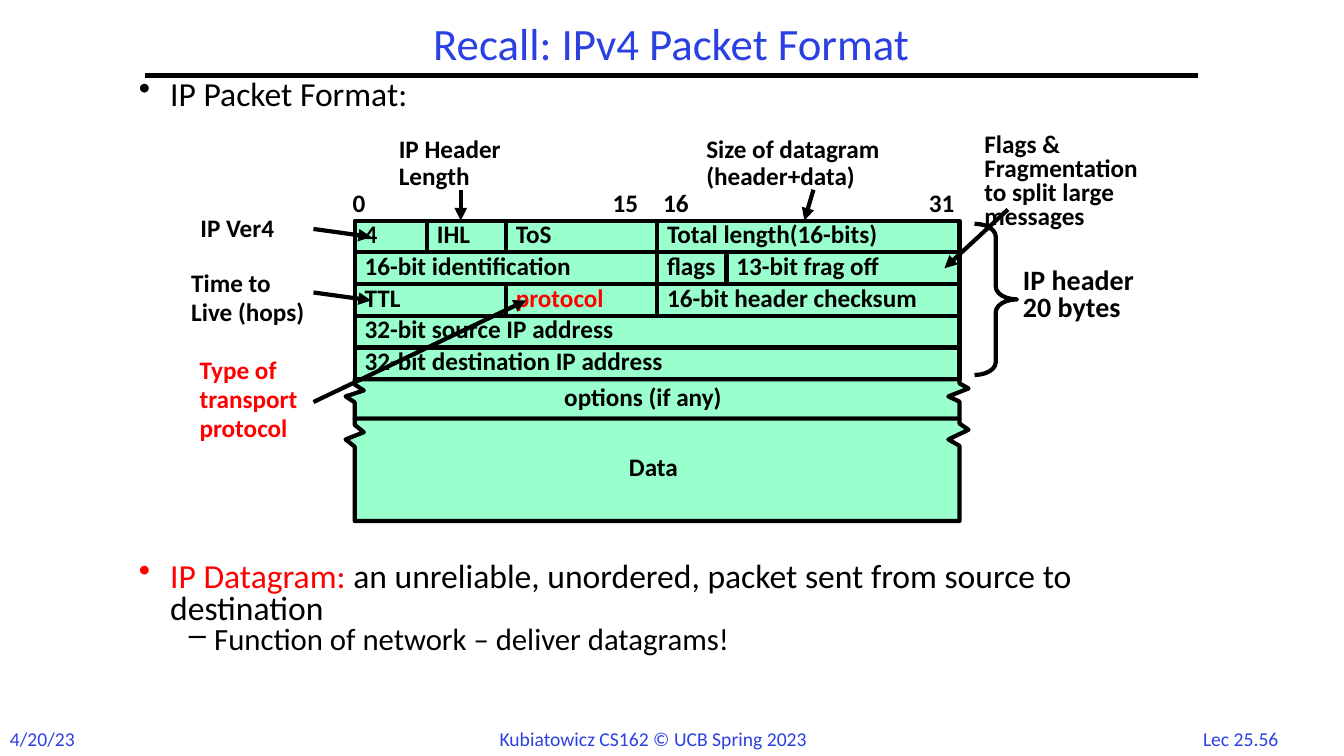
from dataclasses import dataclass

from lxml import etree
from pptx import Presentation
from pptx.dml.color import RGBColor
from pptx.enum.shapes import MSO_CONNECTOR, MSO_SHAPE
from pptx.enum.text import MSO_ANCHOR, PP_ALIGN
from pptx.oxml.ns import qn
from pptx.util import Cm, Pt

LEFT, CENTER = PP_ALIGN.LEFT, PP_ALIGN.CENTER
TOP, MIDDLE = MSO_ANCHOR.TOP, MSO_ANCHOR.MIDDLE
RECTANGLE, BRACE = MSO_SHAPE.RECTANGLE, MSO_SHAPE.RIGHT_BRACE
STRAIGHT = MSO_CONNECTOR.STRAIGHT


@dataclass(frozen=True)
class Theme:
    font: str = "Calibri"
    ink: RGBColor = RGBColor(0x00, 0x00, 0x00)
    blue: RGBColor = RGBColor(0x2A, 0x40, 0xE2)
    red: RGBColor = RGBColor(0xFF, 0x00, 0x00)
    mint: RGBColor = RGBColor(0x99, 0xFF, 0xCC)
    title: int = 32
    body: int = 24
    sub_body: int = 22
    emphasis: int = 20
    label: int = 18
    footer: int = 14
    line: int = 3


class PacketSlide:
    def __init__(self, slide, theme):
        self.shapes = slide.shapes
        self.theme = theme

    def style(self, run, size, color, bold):
        run.font.name = self.theme.font
        run.font.size = Pt(size)
        run.font.bold = bold
        run.font.color.rgb = color

    def set_text(self, frame, text, size, color, bold, align=LEFT,
                 anchor=TOP, spacing=0.8, gap=0):
        frame.word_wrap = True
        frame.vertical_anchor = anchor
        frame.text = text
        for index, paragraph in enumerate(frame.paragraphs):
            paragraph.alignment = align
            paragraph.line_spacing = spacing
            paragraph.space_before = Pt(gap if index else 0)
            for run in paragraph.runs:
                self.style(run, size, color, bold)

    def label(self, text, x, y, w, h=0.86, size=None, color=None,
              bold=True, **layout):
        box = self.shapes.add_textbox(Cm(x), Cm(y), Cm(w), Cm(h))
        self.set_text(box.text_frame, text, size or self.theme.label,
                      color or self.theme.ink, bold, **layout)

    def bullets(self, x, y, w, h, items):
        """Each item holds a mark, margin, hang, size and coloured pieces."""
        frame = self.shapes.add_textbox(Cm(x), Cm(y), Cm(w), Cm(h)).text_frame
        frame.word_wrap = True
        for index, (mark, margin, hang, size, pieces) in enumerate(items):
            paragraph = frame.add_paragraph() if index else frame.paragraphs[0]
            paragraph.line_spacing = 0.8
            properties = paragraph._p.get_or_add_pPr()
            properties.set("marL", str(Cm(margin)))
            properties.set("indent", str(-Cm(hang)))
            etree.SubElement(properties, qn("a:buChar")).set("char", mark)
            for text, color in pieces:
                run = paragraph.add_run()
                run.text = text
                self.style(run, size, color, False)

    def outline(self, shape, filled=True):
        shape.shadow.inherit = False
        if filled:
            shape.fill.solid()
            shape.fill.fore_color.rgb = self.theme.mint
        else:
            shape.fill.background()
        shape.line.color.rgb = self.theme.ink
        shape.line.width = Pt(self.theme.line)

    def field(self, text, x, y, w, h, color):
        cell = self.shapes.add_shape(RECTANGLE, Cm(x), Cm(y), Cm(w), Cm(h))
        self.outline(cell)
        cell.text_frame.margin_right = 0
        self.set_text(cell.text_frame, text, self.theme.label, color, True,
                      anchor=MIDDLE)

    def torn_block(self, x, y, w, h, jag):
        """A block whose sides carry a break mark; jag stretches the mark."""
        right = [(0, 0.56), (-0.28, 0.43), (0.23, 0.23), (0, 0.1)]
        left = [(0, 0.13), (0.23, 0.28), (-0.23, 0.43), (0, 0.58)]
        points = [(x, y + h), (x + w, y + h)]
        points += [(x + w + dx, y + dy * jag) for dx, dy in right]
        points += [(x + w, y), (x, y)]
        points += [(x + dx, y + dy * jag) for dx, dy in left]
        corners = [(Cm(px), Cm(py)) for px, py in points]
        builder = self.shapes.build_freeform(*corners[0], scale=1.0)
        builder.add_line_segments(corners[1:], close=True)
        self.outline(builder.convert_to_shape())

    def brace(self, x, y, w, h):
        shape = self.shapes.add_shape(BRACE, Cm(x), Cm(y), Cm(w), Cm(h))
        self.outline(shape, filled=False)
        shape.adjustments[0], shape.adjustments[1] = 0.3, 0.5

    def line(self, x1, y1, x2, y2, arrow=True):
        connector = self.shapes.add_connector(
            STRAIGHT, Cm(x1), Cm(y1), Cm(x2), Cm(y2))
        connector.line.color.rgb = self.theme.ink
        connector.line.width = Pt(self.theme.line)
        properties = connector._element.spPr
        if arrow:
            stroke = properties.find(qn("a:ln"))
            etree.SubElement(stroke, qn("a:tailEnd")).set("type", "triangle")
        etree.SubElement(properties, qn("a:effectLst"))


def main():
    theme = Theme()
    deck = Presentation()
    deck.slide_width, deck.slide_height = Cm(33.87), Cm(19.05)
    page = PacketSlide(deck.slides.add_slide(deck.slide_layouts[6]), theme)

    # Footer, title and rule
    for text, x, w, align in [
        ("Lec 25.56", 29.77, 3, CENTER),
        ("4/20/23", 0, 2.5, LEFT),
        ("Kubiatowicz CS162 © UCB Spring 2023", 12.34, 9.35, LEFT),
    ]:
        page.label(text, x, 18.19, w, size=theme.footer, color=theme.blue,
                   bold=False, align=align, spacing=1.0)
    page.line(3.66, 1.9, 30.2, 1.9, arrow=False)
    page.label("Recall: IPv4 Packet Format", 3.66, 0.43, 26.52, 1.47,
               size=theme.title, color=theme.blue, bold=False,
               align=CENTER, anchor=MIDDLE, spacing=0.9)

    # Bullets above and below the diagram
    page.bullets(3.25, 1.9, 27.23, 1.2, [
        ("•", 0.79, 0.79, theme.body, [("IP Packet Format:", theme.ink)])])
    page.bullets(3.25, 14.05, 27.23, 3, [
        ("•", 0.79, 0.79, theme.body, [
            ("IP Datagram: ", theme.red),
            ("an unreliable, unordered, packet sent from source to destination",
             theme.ink)]),
        ("–", 1.9, 0.64, theme.sub_body, [
            ("Function of network – deliver datagrams!", theme.ink)])])

    # Header fields: each row lists texts with their offsets from the left edge
    left, top, width, row_height = 8.94, 5.56, 15.24, 0.8
    header_rows = [
        [("4", 0), ("IHL", 1.82), ("ToS", 3.81),
         ("Total length(16-bits)", 7.62)],
        [("16-bit identification", 0), ("flags", 7.62),
         ("13-bit frag off", 9.37)],
        [("TTL", 0), ("protocol", 3.81), ("16-bit header checksum", 7.62)],
        [("32-bit source IP address", 0)],
        [("32-bit destination IP address", 0)],
    ]
    options_top = top + len(header_rows) * row_height
    options_height, data_height = 0.99, 2.58
    page.torn_block(left, options_top, width, options_height, 1)
    for row, fields in enumerate(header_rows):
        ends = [start for _, start in fields[1:]] + [width]
        for (text, start), end in zip(fields, ends):
            color = theme.red if text == "protocol" else theme.ink
            page.field(text, left + start, top + row * row_height,
                       end - start, row_height, color)
    page.torn_block(left, options_top + options_height, width, data_height, 1.22)
    page.label("options (if any)", 13.97, 9.63, 5.18)
    page.label("Data", 15.6, 11.4, 1.9)

    # Bit numbers
    for bit, x in [("0", 8.64), ("15", 15.19), ("16", 16.46), ("31", 23.16)]:
        page.label(bit, x, 4.75, 1.22)

    # Callouts with their arrows
    for text, x, y, w, h, color, gap, arrow in [
        ("IP Ver4", 4.8, 5.38, 2.64, 0.86, theme.ink, 0,
         (7.9, 5.77, 9.35, 5.97)),
        ("IP Header\nLength", 9.8, 3.38, 3.45, 1.55, theme.ink, 1.8,
         (11.61, 4.78, 11.61, 5.56)),
        ("Size of datagram\n(header+data)", 17.55, 3.38, 5.64, 1.55,
         theme.ink, 1.8, (20.5, 4.78, 20.27, 5.56)),
        ("Flags &\nFragmentation\nto split large\nmessages", 24.56, 3.25,
         4.95, 2.72, theme.ink, 0, (25.4, 5.28, 23.8, 6.76)),
        ("Time to\nLive (hops)", 4.57, 6.76, 3.94, 1.63, theme.ink, 3.6,
         (7.9, 7.37, 9.35, 7.57)),
        ("Type of\ntransport\nprotocol", 4.78, 8.94, 3.38, 2.39, theme.red,
         3.6, (7.9, 10.13, 13.26, 7.57)),
    ]:
        page.label(text, x, y, w, h, color=color, gap=gap)
        page.line(*arrow)

    # Header size
    page.brace(24.56, 5.64, 1.07, 3.81)
    page.label("IP header\n20 bytes", 25.53, 6.65, 3.71, 1.63,
               size=theme.emphasis)

    deck.save("out.pptx")


if __name__ == "__main__":
    main()
